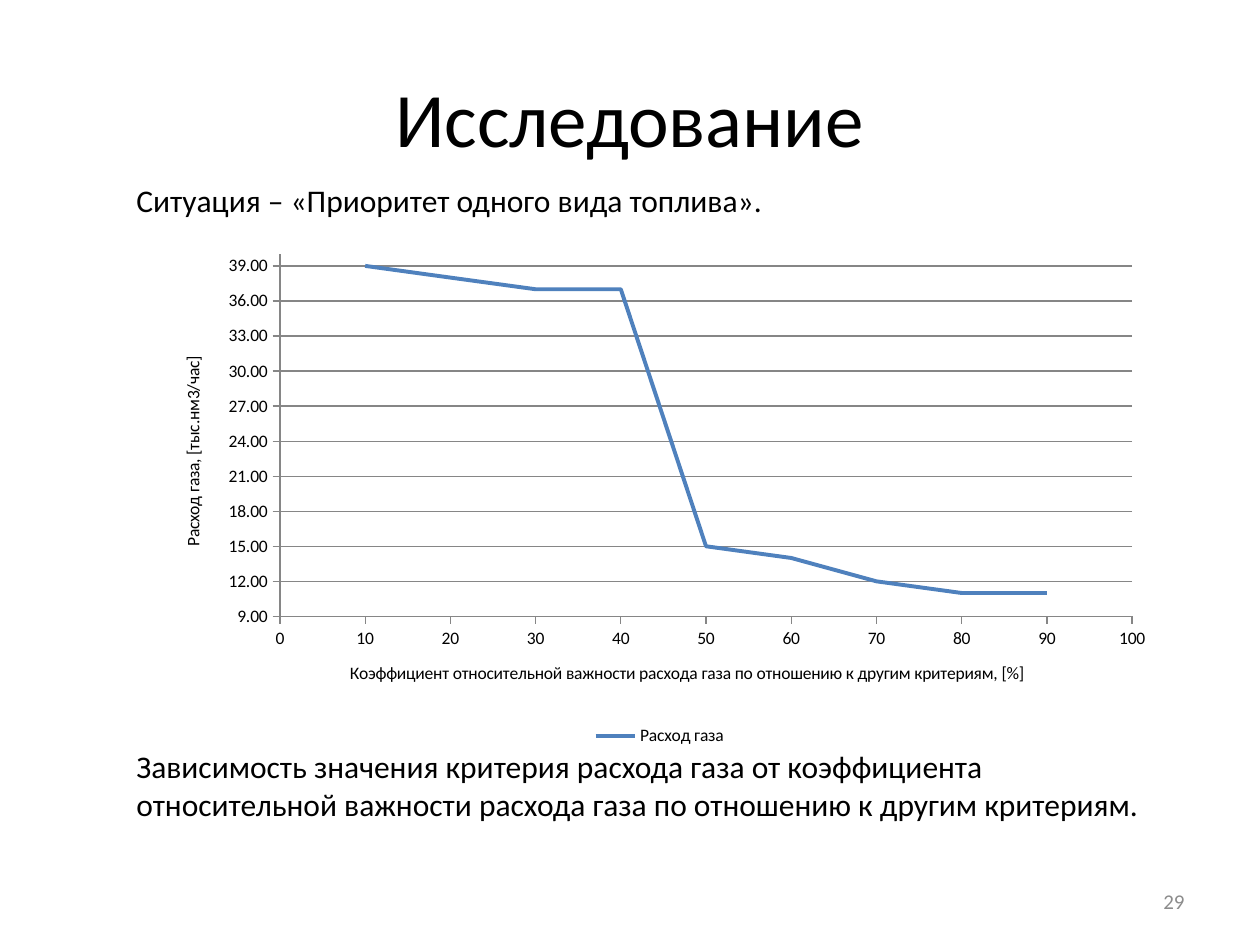
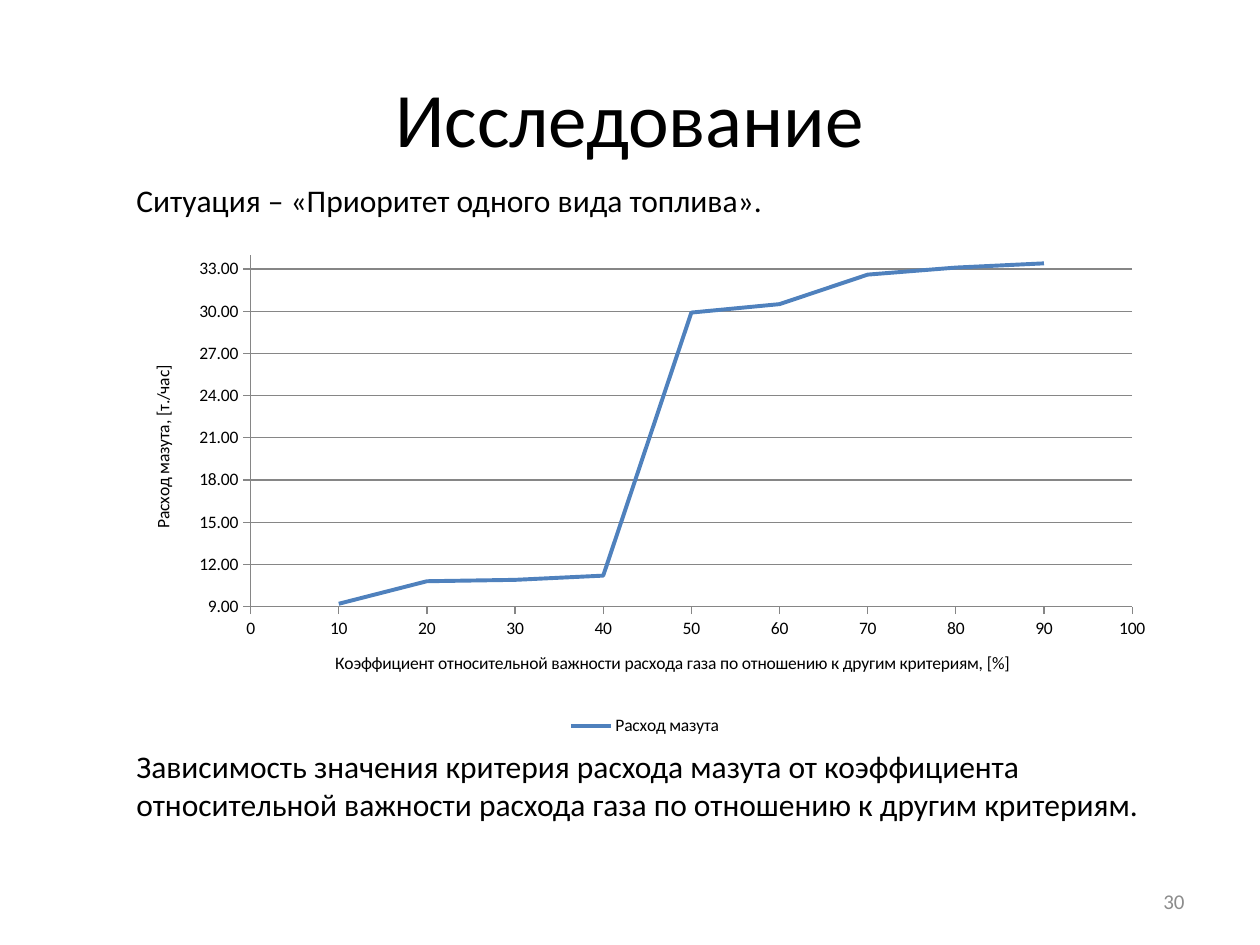
from lxml import etree
from pptx import Presentation
from pptx.chart.data import XyChartData
from pptx.dml.color import RGBColor
from pptx.enum.chart import XL_CHART_TYPE, XL_LEGEND_POSITION, XL_TICK_MARK
from pptx.enum.text import MSO_ANCHOR, PP_ALIGN
from pptx.oxml.ns import qn
from pptx.util import Pt

SCATTER = XL_CHART_TYPE.XY_SCATTER_LINES_NO_MARKERS
BELOW = XL_LEGEND_POSITION.BOTTOM
OUT, NONE = XL_TICK_MARK.OUTSIDE, XL_TICK_MARK.NONE
LEFT, MID, RIGHT = PP_ALIGN.LEFT, PP_ALIGN.CENTER, PP_ALIGN.RIGHT
TOP, CENTER = MSO_ANCHOR.TOP, MSO_ANCHOR.MIDDLE

FONT = "Calibri"
BLACK, GREY, BLUE, RULE = "000000", "8C8C8C", "4F81BD", "868686"

# Boxes: left, top, width, height in points
PAGE = (720, 540)
HEAD = (36, 21.6, 648, 90)
LEAD = (70.87, 100, 595.3, 29)
NOTE = (70.87, 423.2, 595.3, 51)
FOOT = (516, 500.5, 168, 28.75)

TITLE = "Исследование"
CASE = "Ситуация – «Приоритет одного вида топлива»."
CLAIM = ("Зависимость значения критерия расхода {} от коэффициента "
         "относительной важности расхода газа по отношению к другим критериям.")
SHARE = ("Коэффициент относительной важности расхода газа "
         "по отношению к другим критериям, [%]")

FUELS = [
    dict(page=29, fuel="газа", unit="тыс.нм3/час", peak=40,
         vals=[39, 38, 37, 37, 15, 14, 12, 11, 11],
         box=(87.84, 139.7, 578.16, 289.4), plot=(160, 145.3, 487, 207)),
    dict(page=30, fuel="мазута", unit="т./час", peak=34,
         vals=[9.2, 10.8, 10.9, 11.2, 29.9, 30.5, 32.6, 33.1, 33.4],
         box=(70.87, 140.4, 595.3, 283), plot=(143.2, 145.7, 503.8, 201)),
]


def color(code):
    return RGBColor.from_string(code)


def style(font, size, tint=BLACK):
    font.name, font.size, font.bold = FONT, Pt(size), False
    font.color.rgb = color(tint)


def write(slide, box, text, size=18, tint=BLACK, align=LEFT, anchor=TOP):
    frame = slide.shapes.add_textbox(*map(Pt, box)).text_frame
    frame.word_wrap = True
    frame.vertical_anchor = anchor
    para = frame.paragraphs[0]
    para.alignment = align
    run = para.add_run()
    run.text = text
    style(run.font, size, tint)


def rule(line):
    line.color.rgb = color(RULE)
    line.width = Pt(0.75)


def set_axis(axis, title, low, high, step, form):
    axis.minimum_scale, axis.maximum_scale = low, high
    axis.major_unit = step
    axis.major_tick_mark, axis.minor_tick_mark = OUT, NONE
    axis.tick_labels.number_format = form
    axis.tick_labels.number_format_is_linked = False
    rule(axis.format.line)
    para = axis.axis_title.text_frame.paragraphs[0]
    run = para.add_run()
    run.text = title
    style(run.font, 10)


def set_plot(chart, box, plot):
    """Fix the inner plot area as fractions of the chart box."""
    area = chart.plots[0]._element.getparent()
    for old in area.findall(qn("c:layout")):
        area.remove(old)
    layout = etree.Element(qn("c:layout"))
    area.insert(0, layout)
    manual = etree.SubElement(layout, qn("c:manualLayout"))
    left, top, wide, high = box
    parts = dict(layoutTarget="inner", xMode="edge", yMode="edge",
                 x=(plot[0] - left) / wide, y=(plot[1] - top) / high,
                 w=plot[2] / wide, h=plot[3] / high)
    for tag, value in parts.items():
        etree.SubElement(manual, qn("c:" + tag)).set("val", str(value))


def draw_chart(slide, box, plot, name, unit, peak, vals):
    data = XyChartData()
    series = data.add_series(name)
    for place, value in enumerate(vals, 1):
        series.add_data_point(10 * place, value)
    chart = slide.shapes.add_chart(SCATTER, *map(Pt, box), data).chart
    style(chart.font, 10)
    chart.has_title = False

    # Axes and grid
    set_axis(chart.category_axis, SHARE, 0, 100, 10, "0")
    set_axis(chart.value_axis, f"{name}, [{unit}]", 9, peak, 3, "#,##0.00")
    chart.category_axis.has_major_gridlines = False
    chart.value_axis.has_major_gridlines = True
    rule(chart.value_axis.major_gridlines.format.line)
    set_plot(chart, box, plot)

    # Curve and legend
    chart.plots[0].vary_by_categories = False
    curve = chart.plots[0].series[0]
    curve.smooth = False
    curve.format.line.color.rgb = color(BLUE)
    curve.format.line.width = Pt(2.25)
    chart.has_legend = True
    chart.legend.position = BELOW
    chart.legend.include_in_layout = False


def add_study(deck, page, fuel, unit, peak, vals, box, plot):
    slide = deck.slides.add_slide(deck.slide_layouts[6])
    write(slide, FOOT, str(page), size=12, tint=GREY, align=RIGHT, anchor=CENTER)
    write(slide, HEAD, TITLE, size=44, align=MID, anchor=CENTER)
    write(slide, LEAD, CASE)
    draw_chart(slide, box, plot, f"Расход {fuel}", unit, peak, vals)
    write(slide, NOTE, CLAIM.format(fuel))


def main():
    deck = Presentation()
    deck.slide_width, deck.slide_height = map(Pt, PAGE)
    for study in FUELS:
        add_study(deck, **study)
    deck.save("out.pptx")


if __name__ == "__main__":
    main()
